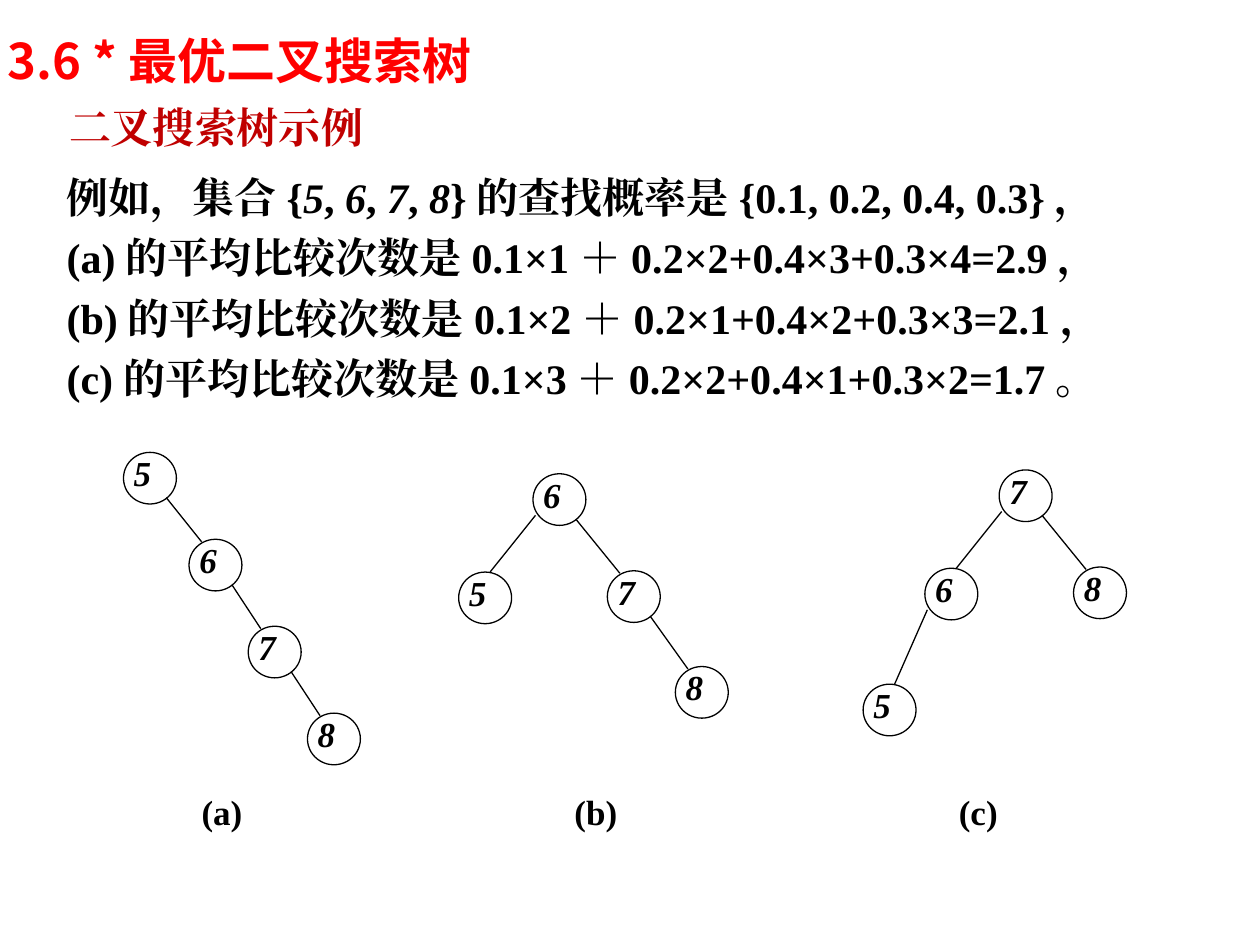
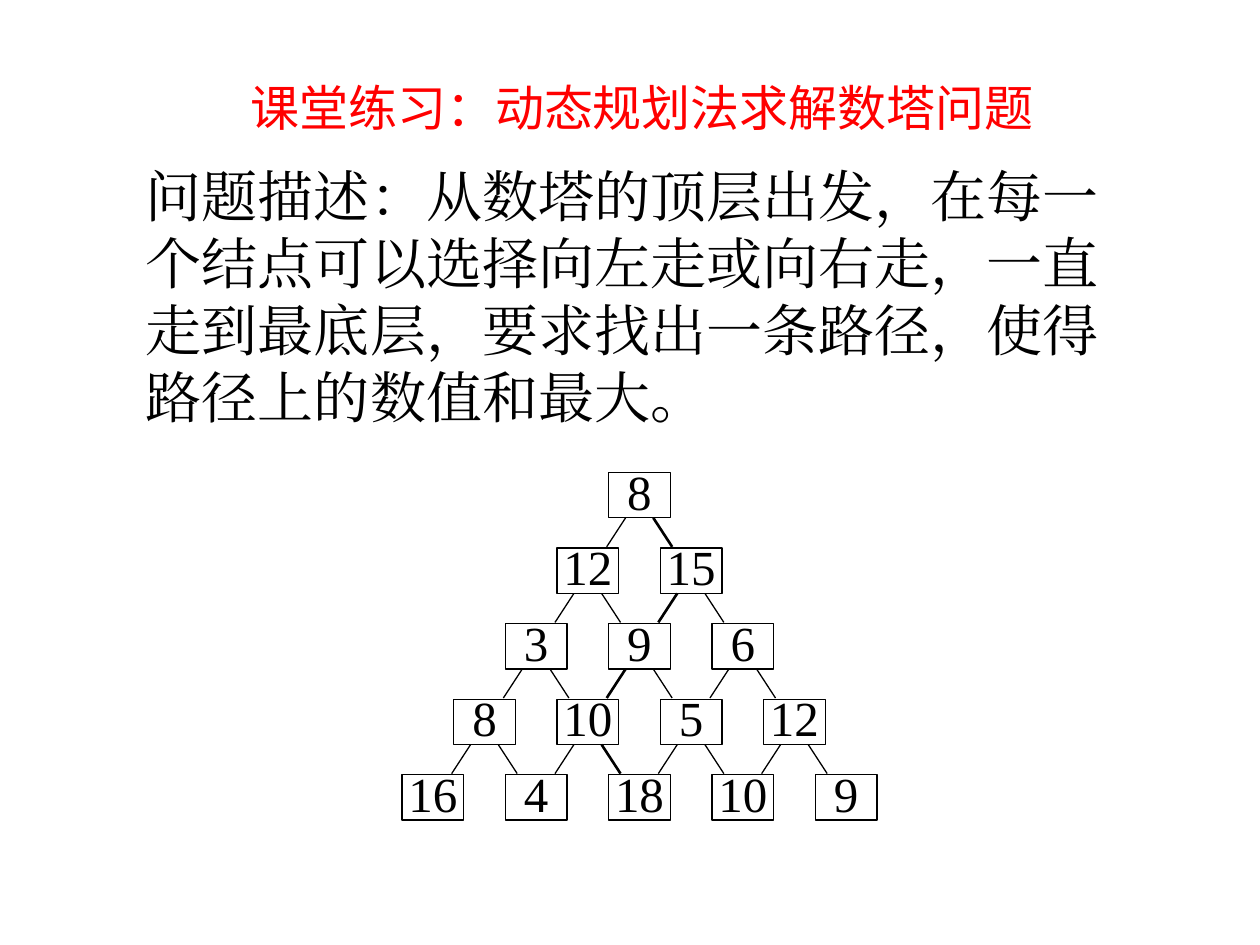
from typing import NamedTuple, Optional

from lxml import etree
from pptx import Presentation
from pptx.dml.color import RGBColor
from pptx.enum import shapes, text
from pptx.oxml.ns import qn
from pptx.util import Inches, Pt

BLACK = RGBColor(0x00, 0x00, 0x00)
WHITE = RGBColor(0xFF, 0xFF, 0xFF)
RED = RGBColor(0xFF, 0x00, 0x00)
DARK_RED = RGBColor(0xC0, 0x00, 0x00)
SERIF = "Times New Roman"
SANS = "Noto Sans CJK SC"
ALIGN = text.PP_ALIGN
ANCHOR = text.MSO_ANCHOR


class Box(NamedTuple):
    left: float
    top: float
    width: float
    height: float


class Node(NamedTuple):
    key: str
    left: float
    top: float
    parent: Optional[int] = None


NODE_W, NODE_H = 0.42, 0.41
SEARCH_TREES = [
    [Node("5", 0.98, 3.59), Node("6", 1.5, 4.28, 0),
     Node("7", 1.97, 4.97, 1), Node("8", 2.44, 5.66, 2)],
    [Node("6", 4.23, 3.76), Node("5", 3.64, 4.54, 0),
     Node("7", 4.82, 4.53, 0), Node("8", 5.36, 5.29, 2)],
    [Node("7", 7.93, 3.73), Node("6", 7.34, 4.51, 0),
     Node("8", 8.52, 4.5, 0), Node("5", 6.85, 5.43, 1)],
]
CAPTION_TABS = (0.27, 3.23, 6.28)

COMPARISONS = [
    "例如，集合{*5*, *6*, *7*, *8*}的查找概率是{0.1, 0.2, 0.4, 0.3}，",
    "(a)的平均比较次数是0.1×1＋0.2×2+0.4×3+0.3×4=2.9，",
    "(b)的平均比较次数是0.1×2＋0.2×1+0.4×2+0.3×3=2.1，",
    "(c)的平均比较次数是0.1×3＋0.2×2+0.4×1+0.3×2=1.7。",
]

TOWER = [[8], [12, 15], [3, 9, 6], [8, 10, 5, 12], [16, 4, 18, 10, 9]]
BEST_PATH = [0, 1, 1, 1, 2]
CELL_W, CELL_H = 0.49, 0.36
CELL_PITCH, ROW_STEP = 0.82, 0.6
TOWER_LEFT, TOWER_TOP = 4.83, 3.75


def place(shape, box: Box) -> None:
    shape.left, shape.top, shape.width, shape.height = map(Inches, box)


def write(shape, lines: list[str], *, size: float, font: str = SERIF,
          east_asian: Optional[str] = None, color: RGBColor = BLACK,
          bold: bool = False, italic: bool = False, align=ALIGN.LEFT,
          anchor=ANCHOR.TOP, spacing: float = 1.0, before: float = 0,
          insets=(0.1, 0.05, 0.1, 0.05), wrap: bool = True) -> None:
    """Write one paragraph per line; *stars* around characters flip italics."""
    frame = shape.text_frame
    frame.auto_size = text.MSO_AUTO_SIZE.NONE
    frame.word_wrap, frame.vertical_anchor = wrap, anchor
    (frame.margin_left, frame.margin_top,
     frame.margin_right, frame.margin_bottom) = map(Inches, insets)
    for number, line in enumerate(lines):
        paragraph = frame.add_paragraph() if number else frame.paragraphs[0]
        paragraph.alignment, paragraph.line_spacing = align, spacing
        paragraph.space_before = Pt(before)
        pieces = line.split("*") if line.count("*") > 1 else [line]
        for index, piece in enumerate(pieces):
            run = paragraph.add_run()
            run.text = piece
            run.font.size, run.font.name = Pt(size), font
            run.font.color.rgb = color
            run.font.bold, run.font.italic = bold, italic != bool(index % 2)
            script = etree.SubElement(run.font._element, qn("a:ea"))
            script.set("typeface", east_asian or font)


def add_text(slide, box: Box, lines: list[str], **style):
    label = slide.shapes.add_textbox(*map(Inches, box))
    write(label, lines, **style)
    return label


def add_titled_slide(deck, title: str, box: Box, **style):
    slide = deck.slides.add_slide(deck.slide_layouts[5])
    place(slide.shapes.title, box)
    write(slide.shapes.title, [title], size=28, font=SANS, color=RED, **style)
    return slide


def add_outlined(slide, kind, box: Box, label: str, *,
                 fill: Optional[RGBColor] = None, **style) -> None:
    shape = slide.shapes.add_shape(kind, *map(Inches, box))
    shape.shadow.inherit = False
    if fill is None:
        shape.fill.background()
    else:
        shape.fill.solid()
        shape.fill.fore_color.rgb = fill
    shape.line.color.rgb, shape.line.width = BLACK, Pt(0.75)
    write(shape, [label], spacing=0.8, **style)


def add_edge(slide, x1: float, y1: float, x2: float, y2: float,
             width: float = 0.75) -> None:
    edge = slide.shapes.add_connector(
        shapes.MSO_CONNECTOR.STRAIGHT, *map(Inches, (x1, y1, x2, y2)))
    edge.line.color.rgb, edge.line.width = BLACK, Pt(width)
    etree.SubElement(edge._element.spPr, qn("a:effectLst"))


def set_tabs(paragraph, stops) -> None:
    tabs = etree.SubElement(paragraph._p.get_or_add_pPr(), qn("a:tabLst"))
    for stop in stops:
        etree.SubElement(tabs, qn("a:tab"), pos=str(Inches(stop)), algn="l")


def draw_search_tree(slide, nodes: list[Node]) -> None:
    for node in nodes:
        add_outlined(slide, shapes.MSO_SHAPE.OVAL,
                     Box(node.left, node.top, NODE_W, NODE_H), node.key,
                     size=20, bold=True, italic=True, align=ALIGN.JUSTIFY,
                     insets=(0.02, 0, 0, 0))
        if node.parent is None:
            continue
        parent = nodes[node.parent]
        if node.left < parent.left:
            start, end = (0.02, 0.33), (0.25, 0)
        else:
            start, end = (0.34, 0.36), (0.1, 0.02)
        add_edge(slide, parent.left + start[0], parent.top + start[1],
                 node.left + end[0], node.top + end[1])


def draw_tower(slide) -> None:
    for row, values in enumerate(TOWER):
        top = TOWER_TOP + row * ROW_STEP
        for column, value in enumerate(values):
            left = TOWER_LEFT + (column - row / 2) * CELL_PITCH
            add_outlined(slide, shapes.MSO_SHAPE.RECTANGLE,
                         Box(left, top, CELL_W, CELL_H), str(value),
                         fill=WHITE, size=28, align=ALIGN.CENTER,
                         insets=(0, 0, 0, 0))
            if row == len(TOWER) - 1:
                continue
            center, bottom = left + CELL_W / 2, top + CELL_H
            for step, side in enumerate((-1, 1)):
                chosen = BEST_PATH[row:row + 2] == [column, column + step]
                add_edge(slide, center + side * 0.11, bottom,
                         center + side * 0.26, bottom + 0.23,
                         1.5 if chosen else 0.75)


def build_search_tree_slide(deck) -> None:
    slide = add_titled_slide(deck, "3.6 *最优二叉搜索树",
                             Box(-0.04, 0.07, 8.03, 0.69),
                             bold=True, anchor=ANCHOR.BOTTOM)
    add_text(slide, Box(0.45, 0.76, 2.53, 0.5), ["二叉搜索树示例"], size=24,
             color=DARK_RED, bold=True, align=ALIGN.CENTER, before=7.7,
             wrap=False)
    add_text(slide, Box(0.43, 1.23, 9.32, 2.02), COMPARISONS, size=24,
             bold=True, spacing=1.2, insets=(0.1, 0.05, 0, 0.05))
    for nodes in SEARCH_TREES:
        draw_search_tree(slide, nodes)
    captions = add_text(slide, Box(1.33, 6.27, 7.34, 0.94),
                        ["\t(a)\t(b)\t(c)"], size=20, bold=True,
                        insets=(0, 0, 0, 0))
    set_tabs(captions.text_frame.paragraphs[0], CAPTION_TABS)


def build_number_tower_slide(deck) -> None:
    slide = add_titled_slide(deck, "课堂练习：动态规划法求解数塔问题",
                             Box(0.92, 0.47, 8.35, 0.63),
                             align=ALIGN.CENTER, spacing=1.2)
    add_text(slide, Box(1.06, 1.23, 8.11, 2.24),
             ["问题描述：从数塔的顶层出发，在每一个结点可以选择向左走或向右走，"
              "一直走到最底层，要求找出一条路径，使得路径上的数值和最大。"],
             size=32, before=20)
    draw_tower(slide)


def main() -> None:
    deck = Presentation()
    deck.slide_width, deck.slide_height = Inches(10), Inches(7.5)
    build_search_tree_slide(deck)
    build_number_tower_slide(deck)
    deck.save("out.pptx")


if __name__ == "__main__":
    main()
